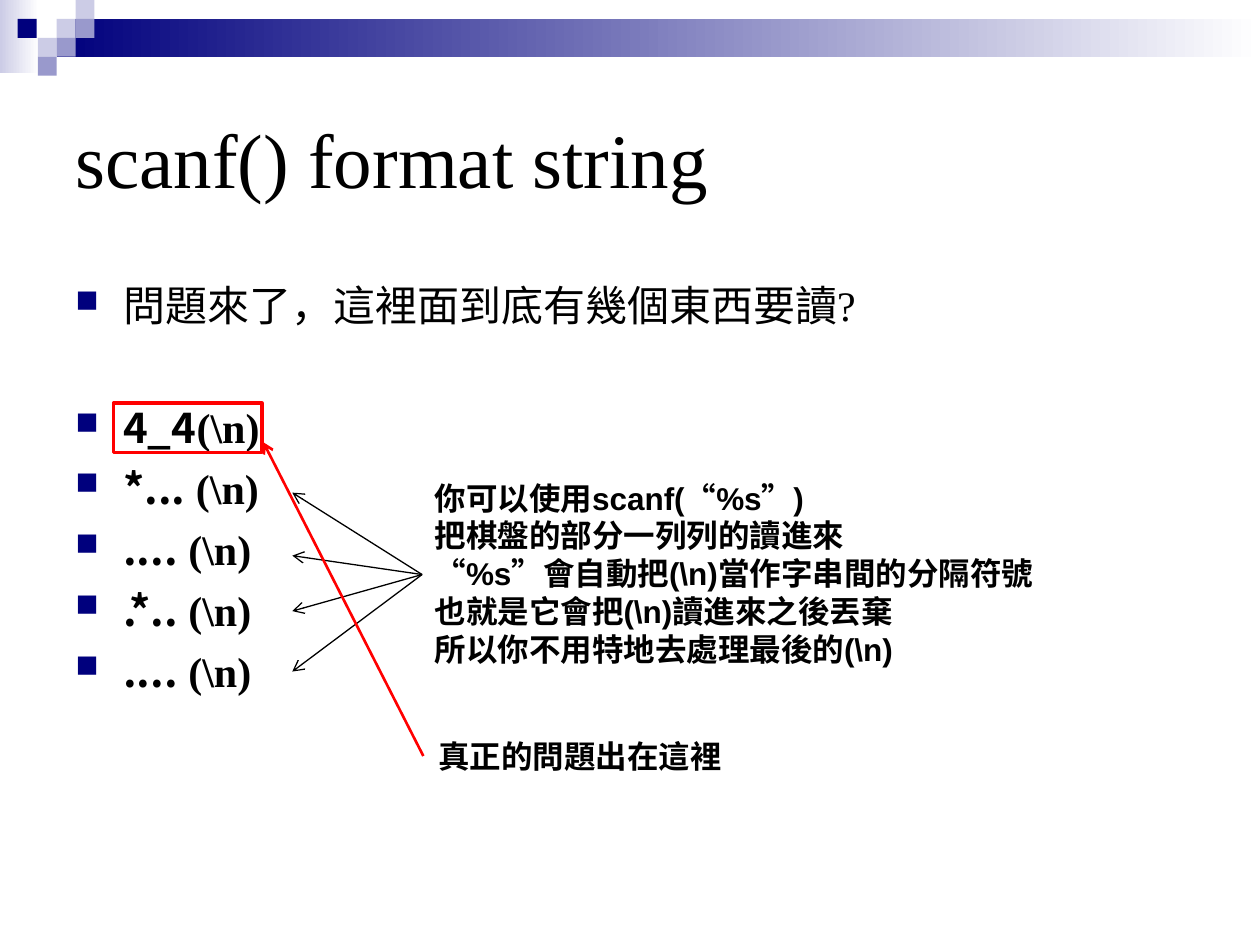
from typing import NamedTuple, Optional

import pptx
import pptx.dml.color
import pptx.enum.shapes
import pptx.enum.text
import pptx.oxml
import pptx.oxml.ns
import pptx.util
from pptx.util import Inches

RGBColor = pptx.dml.color.RGBColor
NAVY = RGBColor(0x00, 0x00, 0x7D)
LAVENDER = RGBColor(0xCC, 0xCC, 0xE6)
PERIWINKLE = RGBColor(0x99, 0x99, 0xCC)
WHITE = RGBColor(0xFF, 0xFF, 0xFF)
BLACK = RGBColor(0x00, 0x00, 0x00)
RED = RGBColor(0xFF, 0x00, 0x00)

SERIF, SANS, BOARD_FONT = "Times New Roman", "Arial", "Noto Sans CJK KR"
LINE_HEIGHT = 1.2


class Box(NamedTuple):
    left: float
    top: float
    width: float
    height: float


class Tile(NamedTuple):
    box: Box
    color: RGBColor
    fade_to: Optional[RGBColor] = None


class Run(NamedTuple):
    text: str
    font: str
    bold: bool = False


class Arrow(NamedTuple):
    start: tuple[float, float]
    end: tuple[float, float]
    color: RGBColor = BLACK
    weight: float = 0.75


def add_xml(parent, tag: str, **attributes: str):
    child = pptx.oxml.parse_xml(f"<a:{tag} {pptx.oxml.ns.nsdecls('a')}/>")
    for key, value in attributes.items():
        child.set(key, value)
    parent.append(child)
    return child


def add_rectangle(slide, box: Box):
    rectangle = slide.shapes.add_shape(
        pptx.enum.shapes.MSO_SHAPE.RECTANGLE, *map(Inches, box))
    rectangle.shadow.inherit = False
    return rectangle


def draw_tile(slide, tile: Tile) -> None:
    rectangle = add_rectangle(slide, tile.box)
    rectangle.line.fill.background()
    if tile.fade_to is None:
        rectangle.fill.solid()
        rectangle.fill.fore_color.rgb = tile.color
        return
    rectangle.fill.gradient()
    rectangle.fill.gradient_angle = 0
    for stop, color in zip(rectangle.fill.gradient_stops, (tile.color, tile.fade_to)):
        stop.color.rgb = color


def draw_arrow(slide, arrow: Arrow) -> None:
    connector = slide.shapes.add_connector(
        pptx.enum.shapes.MSO_CONNECTOR.STRAIGHT,
        *map(Inches, arrow.start + arrow.end))
    connector.line.color.rgb = arrow.color
    connector.line.width = pptx.util.Pt(arrow.weight)
    add_xml(connector.line._get_or_add_ln(), "tailEnd", type="arrow")
    add_xml(connector._element.spPr, "effectLst")


def add_bullet(paragraph) -> None:
    properties = paragraph._p.get_or_add_pPr()
    properties.set("marL", str(Inches(0.38)))
    properties.set("indent", str(Inches(-0.38)))
    add_xml(add_xml(properties, "buClr"), "srgbClr", val=str(NAVY))
    add_xml(properties, "buSzPct", val="75000")
    add_xml(properties, "buChar", char="■")


def write_text(slide, box: Box, lines: list[list[Run]], *, size: float,
               middle: bool = False, wrap: bool = True, bullets: bool = False,
               space_before: Optional[list[float]] = None) -> None:
    frame = slide.shapes.add_textbox(*map(Inches, box)).text_frame
    frame.word_wrap = wrap
    anchors = pptx.enum.text.MSO_ANCHOR
    frame.vertical_anchor = anchors.MIDDLE if middle else anchors.TOP
    for index, runs in enumerate(lines):
        paragraph = frame.paragraphs[0] if index == 0 else frame.add_paragraph()
        paragraph.line_spacing = pptx.util.Pt(size * LINE_HEIGHT)
        if space_before:
            paragraph.space_before = pptx.util.Pt(space_before[index])
        if bullets:
            add_bullet(paragraph)
        for part in runs:
            run = paragraph.add_run()
            run.text = part.text
            run.font.name = part.font
            run.font.size = pptx.util.Pt(size)
            run.font.bold = part.bold
            run.font.color.rgb = BLACK


def main() -> None:
    deck = pptx.Presentation()
    deck.slide_width, deck.slide_height = Inches(10), Inches(7.5)
    slide = deck.slides.add_slide(deck.slide_layouts[6])

    # Header band and its mosaic of squares
    draw_tile(slide, Tile(Box(0, 0, 0.31, 0.58), LAVENDER, WHITE))
    draw_tile(slide, Tile(Box(0.45, 0.15, 9.55, 0.3), NAVY, WHITE))
    side = 0.15
    mosaic = [(0.45, 0.15, LAVENDER), (0.6, 0, LAVENDER), (0.6, 0.15, PERIWINKLE),
              (0.3, 0.3, LAVENDER), (0.14, 0.15, NAVY), (0.45, 0.3, PERIWINKLE),
              (0.3, 0.45, PERIWINKLE)]
    for left, top, color in mosaic:
        draw_tile(slide, Tile(Box(left, top, side, side), color))

    # Title
    write_text(slide, Box(0.5, 0.5, 9, 1.5),
               [[Run("scanf() format string", SERIF)]], size=44, middle=True)

    # Question, then the input rows one free line below it
    question = [Run("問題來了，這裡面到底有幾個東西要讀?", SERIF)]
    input_rows = [("4_4", "(\\n)"), ("*...", " (\\n)"), ("....", " (\\n)"),
                  (".*..", " (\\n)"), ("....", " (\\n)")]
    rows = [[Run(cells, BOARD_FONT, True), Run(newline, SERIF, True)]
            for cells, newline in input_rows]
    gap = 6
    free_line = 24 * LINE_HEIGHT + 2 * gap
    write_text(slide, Box(0.5, 2.17, 9, 4.25), [question] + rows, size=24,
               bullets=True, space_before=[gap, free_line] + [gap] * 4)

    # Explanation of the board rows
    explanation = ["你可以使用scanf(“%s”)",
                   "把棋盤的部分一列列的讀進來",
                   "“%s”會自動把(\\n)當作字串間的分隔符號",
                   "也就是它會把(\\n)讀進來之後丟棄",
                   "所以你不用特地去處理最後的(\\n)"]
    write_text(slide, Box(3.35, 3.75, 5.51, 1.6),
               [[Run(line, SANS, True)] for line in explanation], size=18)
    for row_y in (3.91, 4.41, 4.85, 5.33):
        draw_arrow(slide, Arrow((3.35, 4.56), (2.32, row_y)))

    # The real problem: the first row
    write_text(slide, Box(3.38, 5.8, 2.45, 0.4),
               [[Run("真正的問題出在這裡", SANS, True)]], size=18, wrap=False)
    draw_arrow(slide, Arrow((3.36, 6), (2.09, 3.51), RED, 1.5))
    first_row_frame = add_rectangle(slide, Box(0.9, 3.2, 1.18, 0.39))
    first_row_frame.fill.background()
    first_row_frame.line.color.rgb = RED
    first_row_frame.line.width = pptx.util.Pt(2)

    deck.save("out.pptx")


if __name__ == "__main__":
    main()
